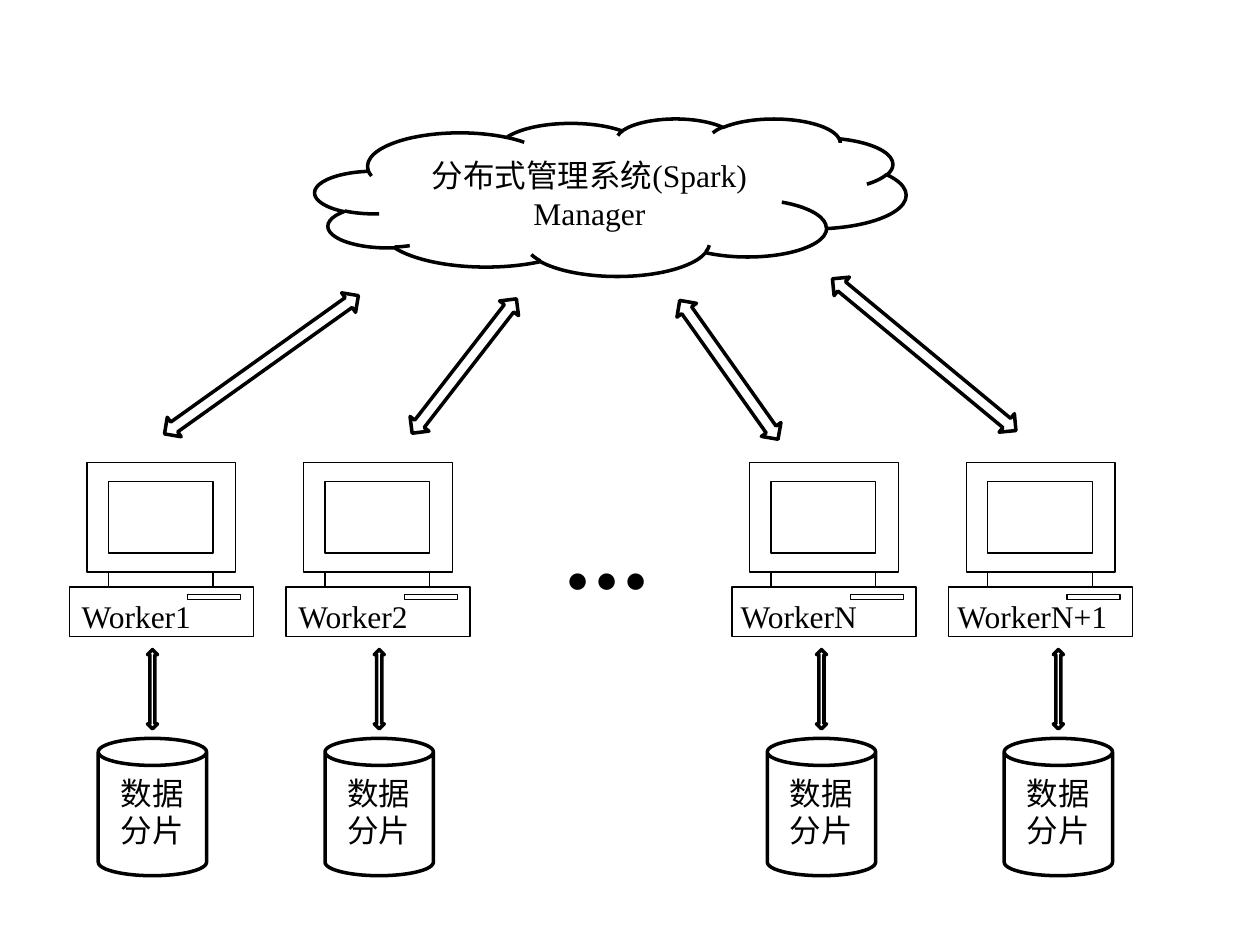
from dataclasses import dataclass

import pptx
import pptx.dml.color
import pptx.enum.shapes
import pptx.enum.text
import pptx.util

Inches = pptx.util.Inches
Shape = pptx.enum.shapes.MSO_SHAPE
COLORS = {"ink": "000000"}
SERIF = "Times New Roman"


@dataclass
class Worker:
    name: str
    label_left: float
    label_width: float
    computer_left: float
    storage_center: float


@dataclass
class ManagerLink:
    left: float
    top: float
    width: float
    rotation: float


WORKERS = [
    Worker("Worker1", 0.55, 1.17, 0.55, 1.21),
    Worker("Worker2", 2.27, 1.17, 2.27, 3.01),
    Worker("WorkerN", 5.78, 1.17, 5.81, 6.52),
    Worker("WorkerN+1", 7.5, 1.41, 7.53, 8.4),
]
MANAGER_LINKS = [
    ManagerLink(1.13, 2.8, 1.89, 324.5),
    ManagerLink(3.01, 2.81, 1.35, 307.8),
    ManagerLink(5.11, 2.84, 1.35, 234.7),
    ManagerLink(6.39, 2.72, 1.89, 219.6),
]

# Computer outline and its inner rectangles, relative to its top left corner
COMPUTER_TOP = 3.67
CASE = [(1.14, 0.99), (1.14, 0.87), (1.32, 0.87), (1.32, 0), (0.14, 0),
        (0.14, 0.87), (0.31, 0.87), (0.31, 0.99), (0, 0.99), (0, 1.38),
        (1.46, 1.38), (1.46, 0.99)]
NECK = (0.31, 0.87, 1.14, 0.99)
SCREEN = (0.31, 0.15, 1.14, 0.72)
DRIVE = (0.94, 1.05, 1.36, 1.09)


def ink() -> pptx.dml.color.RGBColor:
    return pptx.dml.color.RGBColor.from_string(COLORS["ink"])


def style_outline(shape, weight: float) -> None:
    shape.shadow.inherit = False
    shape.fill.background()
    shape.line.color.rgb = ink()
    shape.line.width = pptx.util.Pt(weight)


def add_outlined(slide, preset, left: float, top: float, width: float,
                 height: float, rotation: float = 0):
    shape = slide.shapes.add_shape(
        preset, Inches(left), Inches(top), Inches(width), Inches(height))
    shape.rotation = rotation
    style_outline(shape, 2)
    return shape


def style_text(paragraph, size: float, font: str) -> None:
    paragraph.font.size = pptx.util.Pt(size)
    paragraph.font.name = font
    paragraph.font.color.rgb = ink()


def add_label(slide, text: str, left: float, top: float, width: float,
              height: float, size: float = 18, font: str = SERIF) -> None:
    frame = slide.shapes.add_textbox(
        Inches(left), Inches(top), Inches(width), Inches(height)).text_frame
    frame.word_wrap = True
    frame.auto_size = pptx.enum.text.MSO_AUTO_SIZE.SHAPE_TO_FIT_TEXT
    frame.text = text
    style_text(frame.paragraphs[0], size, font)


def add_computer(slide, left: float) -> None:
    def place(points):
        return [(Inches(left + x), Inches(COMPUTER_TOP + y)) for x, y in points]

    case = place(CASE)
    builder = slide.shapes.build_freeform(*case[0])
    builder.add_line_segments(case[1:], close=True)
    for x1, y1, x2, y2 in (NECK, SCREEN, DRIVE):
        corners = place([(x1, y2), (x1, y1), (x2, y1), (x2, y2)])
        builder.move_to(*corners[0])
        builder.add_line_segments(corners[1:], close=True)
    style_outline(builder.convert_to_shape(), 0.75)


def add_manager(slide) -> None:
    cloud = add_outlined(slide, Shape.CLOUD, 2.5, 0.94, 4.69, 1.25)
    frame = cloud.text_frame
    frame.vertical_anchor = pptx.enum.text.MSO_ANCHOR.MIDDLE
    frame.text = "分布式管理系统(Spark)\nManager"
    for paragraph in frame.paragraphs:
        paragraph.alignment = pptx.enum.text.PP_ALIGN.CENTER
        style_text(paragraph, 18, SERIF)


def add_worker(slide, worker: Worker) -> None:
    center = worker.storage_center
    add_computer(slide, worker.computer_left)
    add_label(slide, worker.name, worker.label_left, 4.69,
              worker.label_width, 0.4)
    # Data shard and the arrow joining it to the computer
    add_outlined(slide, Shape.LEFT_RIGHT_ARROW, center - 0.315, 5.43,
                 0.63, 0.08, 270)
    add_outlined(slide, Shape.CAN, center - 0.43, 5.86, 0.86, 1.09)
    add_label(slide, "数据分片", center - 0.35, 6.09, 0.7, 0.71)


def main() -> None:
    deck = pptx.Presentation()
    deck.slide_width, deck.slide_height = Inches(10), Inches(7.5)
    slide = deck.slides.add_slide(deck.slide_layouts[6])

    # Manager and its links to the workers
    add_manager(slide)
    for link in MANAGER_LINKS:
        add_outlined(slide, Shape.LEFT_RIGHT_ARROW, link.left, link.top,
                     link.width, 0.19, link.rotation)

    # Workers, with dots for those left out
    for worker in WORKERS:
        add_worker(slide, worker)
    add_label(slide, "···", 4.37, 3.91, 1.41, 1.21, 66, "Calibri")

    deck.save("out.pptx")


if __name__ == "__main__":
    main()
